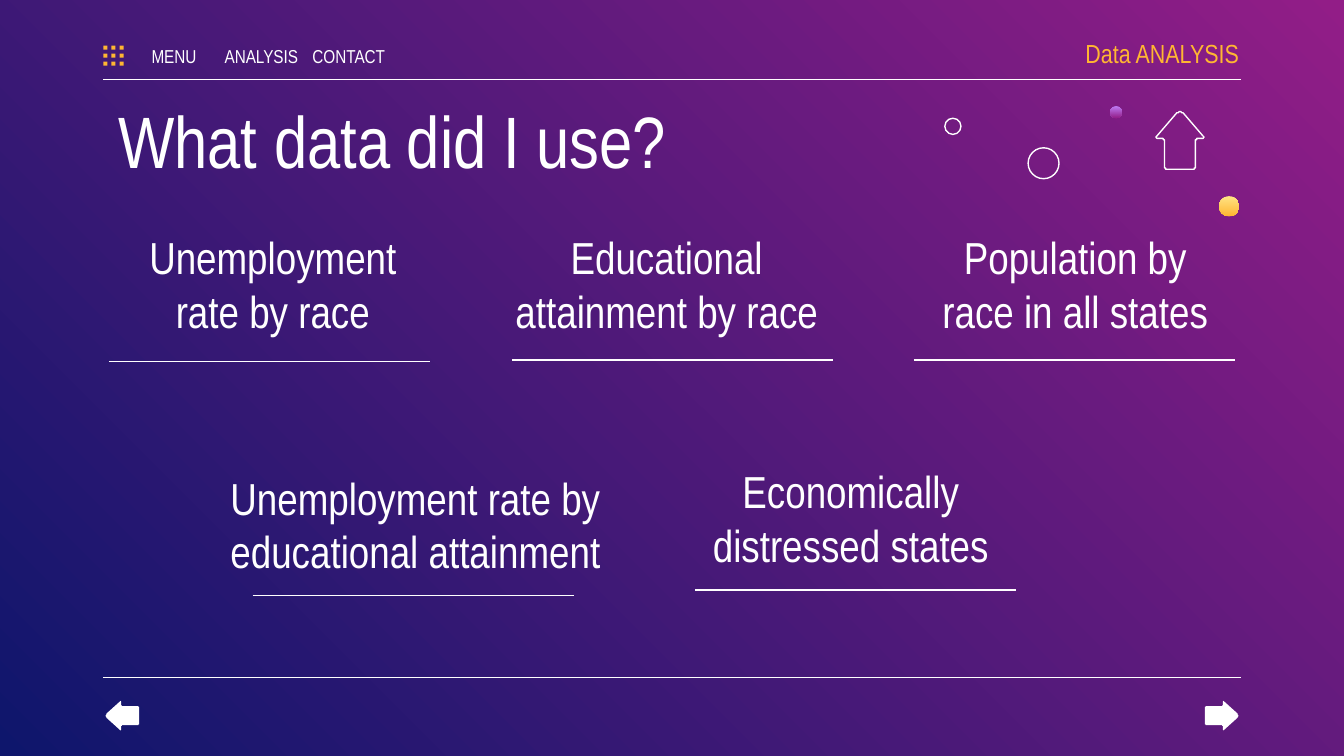
from pptx import Presentation
from pptx import util as u
from pptx.dml.color import RGBColor
from pptx.enum import shapes, text
from pptx.oxml.ns import qn
from lxml import etree

COLORS = {
    "white": "FFFFFF",
    "amber": "FFB632",
    "cream": "FFE485",
    "lilac": "BE7AF3",
    "magenta": "921D87",
    "navy": "0E166C",
}
FONT = "Arial Narrow"
ALIGN = text.PP_ALIGN
ANCHOR = text.MSO_ANCHOR

HEADINGS = [
    ("Unemployment rate by race", (0.81, 1.61, 2.44, 0.99), (0.81, 2.69)),
    ("Educational attainment by race", (3.59, 1.61, 2.74, 0.97), (3.81, 2.68)),
    ("Population by race in all states", (6.78, 1.61, 2.44, 0.97), (6.8, 2.68)),
    ("Unemployment rate by educational attainment", (1.58, 3.4, 3.02, 0.99), (1.88, 4.43)),
    ("Economically distressed states", (5.11, 3.35, 2.44, 1.4), (5.17, 4.39)),
]
ARROW_CORNERS = [(18.5, -2), (39, 20), (31, 20), (31, 44), (6, 44), (6, 20), (-2, 20)]
ARROWS = [
    ((8.6, 0.83, 0.36, 0.43), 0, False),
    ((8.98, 5.2, 0.22, 0.25), 90, True),
    ((0.8, 5.2, 0.22, 0.25), 270, True),
]
CIRCLES = [
    ((7.65, 1.1, 0.23, 0.23), None),
    ((7.03, 0.88, 0.12, 0.12), None),
    ((8.26, 0.79, 0.09, 0.09), ("lilac", "magenta")),
    ((9.07, 1.46, 0.15, 0.15), ("cream", "amber")),
]


def rgb(name):
    return RGBColor.from_string(COLORS[name])


def inches(values):
    return [u.Inches(value) for value in values]


def place(shape, area):
    shape.left, shape.top, shape.width, shape.height = inches(area)


def set_gradient(fill, names, angle):
    fill.gradient()
    fill.gradient_angle = 360 - angle
    for stop, name in zip(fill.gradient_stops, names):
        stop.color.rgb = rgb(name)


def outline(shape):
    shape.line.color.rgb = rgb("white")
    shape.line.width = u.Pt(0.75)


def write(box, words, size, color="white", align=ALIGN.CENTER,
          anchor=ANCHOR.TOP, left=0.1, right=0.1):
    frame = box.text_frame
    frame.word_wrap = True
    frame.auto_size = text.MSO_AUTO_SIZE.NONE
    frame.vertical_anchor = anchor
    frame.margin_left, frame.margin_right = inches((left, right))
    frame.margin_top = frame.margin_bottom = u.Inches(0.1)
    para = frame.paragraphs[0]
    para.text = words
    para.alignment = align
    para.font.name = FONT
    para.font.size = u.Pt(size)
    para.font.color.rgb = rgb(color)


def add_label(page, words, area, size, **style):
    write(page.shapes.add_textbox(*inches(area)), words, size, **style)


def add_rule(page, left, top, width):
    rule = page.shapes.add_connector(
        shapes.MSO_CONNECTOR.STRAIGHT, *inches((left, top, left + width, top)))
    outline(rule)
    etree.SubElement(rule._element.spPr, qn("a:effectLst"))


def add_grid_icon(page):
    for column in range(3):
        for row in range(3):
            area = (0.77 + 0.06 * column, 0.34 + 0.06 * row, 0.03, 0.03)
            square = page.shapes.add_shape(shapes.MSO_SHAPE.RECTANGLE, *inches(area))
            square.shadow.inherit = False
            square.fill.solid()
            square.fill.fore_color.rgb = rgb("amber")
            square.line.fill.background()


def add_circle(page, area, gradient):
    circle = page.shapes.add_shape(shapes.MSO_SHAPE.OVAL, *inches(area))
    circle.shadow.inherit = False
    if gradient:
        set_gradient(circle.fill, gradient, 90)
        circle.line.fill.background()
    else:
        circle.fill.background()
        outline(circle)


def toward(start, end, reach):
    dx, dy = end[0] - start[0], end[1] - start[1]
    share = reach / (dx * dx + dy * dy) ** 0.5
    return start[0] + dx * share, start[1] + dy * share


def rounded(corners, radius, steps=6):
    points = []
    for index, corner in enumerate(corners):
        start = toward(corner, corners[index - 1], radius)
        end = toward(corner, corners[(index + 1) % len(corners)], radius)
        for step in range(steps + 1):
            t = step / steps
            points.append(tuple(
                (1 - t) ** 2 * a + 2 * t * (1 - t) * b + t * t * c
                for a, b, c in zip(start, corner, end)))
    return points


def add_arrow(page, area, rotation, filled):
    points = rounded(ARROW_CORNERS, 3)
    builder = page.shapes.build_freeform(*points[0], scale=u.Inches(0.01))
    builder.add_line_segments(points[1:], close=True)
    arrow = builder.convert_to_shape()
    place(arrow, area)
    arrow.rotation = rotation
    arrow.shadow.inherit = False
    if filled:
        arrow.fill.solid()
        arrow.fill.fore_color.rgb = rgb("white")
        arrow.line.fill.background()
    else:
        arrow.fill.background()
        outline(arrow)


def main():
    deck = Presentation()
    deck.slide_width = u.Inches(10)
    deck.slide_height = u.Inches(10 * 9 / 16)
    page = deck.slides.add_slide(deck.slide_layouts[5])
    set_gradient(page.background.fill, ("magenta", "navy"), 135)

    for top in (0.59, 5.04):
        add_rule(page, 0.77, top, 8.46)
    place(page.shapes.title, (0.78, 0.61, 8.44, 0.66))
    write(page.shapes.title, "What data did I use?", 39, align=ALIGN.LEFT)

    for words, area, (left, top) in HEADINGS:
        add_label(page, words, area, 24)
        add_rule(page, left, top, 2.39)

    add_label(page, "Data ANALYSIS", (7.72, 0.23, 1.5, 0.33), 14, color="amber",
              align=ALIGN.RIGHT, anchor=ANCHOR.MIDDLE, right=0)
    for index, words in enumerate(("MENU", "ANALYSIS", "CONTACT")):
        add_label(page, words, (1.01 + 0.65 * index, 0.3, 0.57, 0.23), 10,
                  anchor=ANCHOR.MIDDLE, left=0, right=0)

    add_grid_icon(page)
    for area, rotation, filled in ARROWS:
        add_arrow(page, area, rotation, filled)
    for area, gradient in CIRCLES:
        add_circle(page, area, gradient)
    deck.save("out.pptx")


if __name__ == "__main__":
    main()
